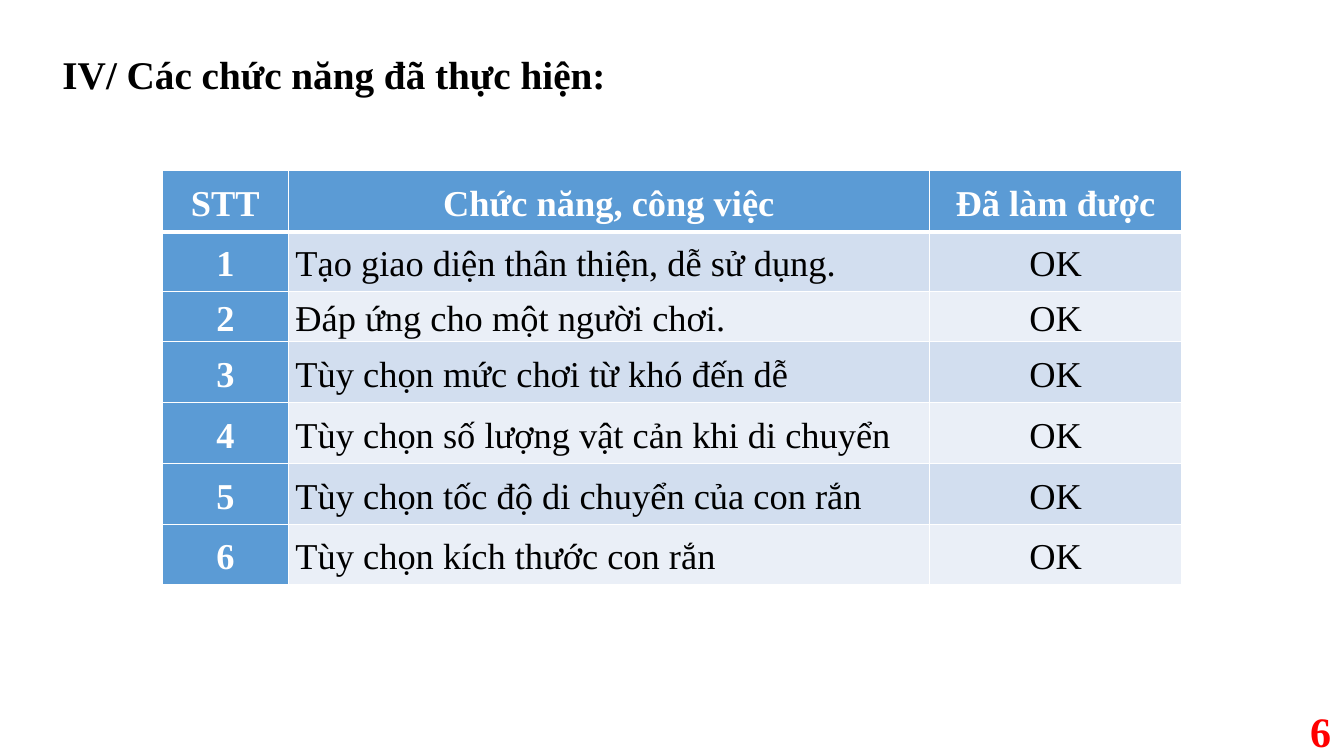
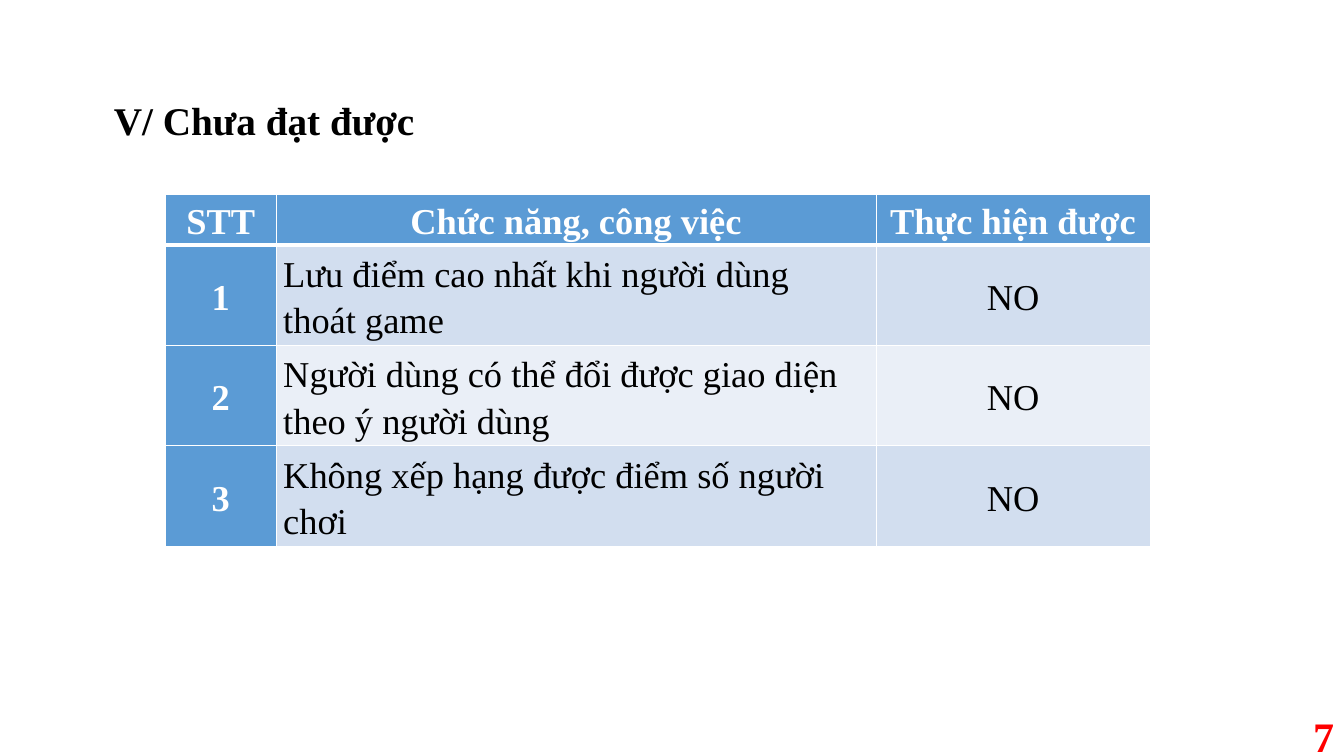
from dataclasses import dataclass

import lxml.etree
import pptx
import pptx.dml.color
import pptx.enum.text
import pptx.oxml.ns
import pptx.presentation
import pptx.slide
import pptx.table
import pptx.text.text
import pptx.util

# Shared style
SLIDE_WIDTH = pptx.util.Inches(13.33)
SLIDE_HEIGHT = pptx.util.Inches(7.5)
TITLE_ONLY = 5
FONT = "Times New Roman"
TITLE_SIZE, CELL_SIZE, NUMBER_SIZE = 28, 26, 30
THIN_BORDER, HEADER_BORDER = 1, 3
BLACK = pptx.dml.color.RGBColor(0x00, 0x00, 0x00)
WHITE = pptx.dml.color.RGBColor(0xFF, 0xFF, 0xFF)
RED = pptx.dml.color.RGBColor(0xFF, 0x00, 0x00)
BLUE = pptx.dml.color.RGBColor(0x5B, 0x9B, 0xD5)
BANDS = (
    pptx.dml.color.RGBColor(0xD2, 0xDE, 0xEF),
    pptx.dml.color.RGBColor(0xEA, 0xEF, 0xF7),
)
ALIGN = pptx.enum.text.PP_ALIGN
ANCHOR = pptx.enum.text.MSO_ANCHOR


# Lengths are percentages of the slide's width or height
@dataclass(frozen=True)
class Area:
    left: float
    top: float
    width: float
    height: float


@dataclass(frozen=True)
class Grid:
    left: float
    top: float
    columns: tuple[float, ...]
    rows: tuple[float, ...]


@dataclass(frozen=True)
class Report:
    title: str
    title_area: Area
    number: int
    number_area: Area
    status_heading: str
    status: str
    tasks: tuple[str, ...]
    grid: Grid


REPORTS = (
    Report(
        title="IV/ Các chức năng đã thực hiện:",
        title_area=Area(3.9, 6, 88.3, 7.6),
        number=6,
        number_area=Area(96.47, 94, 3.3, 5.33),
        status_heading="Đã làm được",
        status="OK",
        tasks=(
            "Tạo giao diện thân thiện, dễ sử dụng.",
            "Đáp ứng cho một người chơi.",
            "Tùy chọn mức chơi từ khó đến dễ",
            "Tùy chọn số lượng vật cản khi di chuyển",
            "Tùy chọn tốc độ di chuyển của con rắn",
            "Tùy chọn kích thước con rắn",
        ),
        grid=Grid(12.08, 22.53, (9.38, 47.71, 18.75), (8.13, 7.87, 6.67) + (8.05,) * 4),
    ),
    Report(
        title="V/ Chưa đạt được",
        title_area=Area(7.73, 12.13, 24.83, 7.6),
        number=7,
        number_area=Area(95.87, 94.67, 4.13, 5.33),
        status_heading="Thực hiện được",
        status="NO",
        tasks=(
            "Lưu điểm cao nhất khi người dùng thoát game",
            "Người dùng có thể đổi được giao diện theo ý người dùng",
            "Không xếp hạng được điểm số người chơi",
        ),
        grid=Grid(12.3, 25.73, (8.25, 44.64, 20.4), (6.6,) + (13.3,) * 3),
    ),
)


def across(percent: float) -> int:
    return round(SLIDE_WIDTH * percent / 100)


def down(percent: float) -> int:
    return round(SLIDE_HEIGHT * percent / 100)


def write(
    frame: pptx.text.text.TextFrame,
    text: str,
    size: int,
    color: pptx.dml.color.RGBColor,
    bold: bool,
    align: ALIGN,
    spacing: float = 1.0,
) -> None:
    para = frame.paragraphs[0]
    para.text = text
    para.alignment = align
    para.line_spacing = spacing
    para.font.name = FONT
    para.font.size = pptx.util.Pt(size)
    para.font.bold = bold
    para.font.color.rgb = color


def add_title(page: pptx.slide.Slide, report: Report) -> None:
    box, area = page.shapes.title, report.title_area
    box.left, box.top = across(area.left), down(area.top)
    box.width, box.height = across(area.width), down(area.height)
    frame = box.text_frame
    frame.word_wrap = True
    frame.auto_size = pptx.enum.text.MSO_AUTO_SIZE.NONE
    frame.vertical_anchor = ANCHOR.TOP
    write(frame, report.title, TITLE_SIZE, BLACK, True, ALIGN.LEFT)


def add_number(page: pptx.slide.Slide, report: Report) -> None:
    area = report.number_area
    box = page.shapes.add_textbox(
        across(area.left), down(area.top), across(area.width), down(area.height)
    )
    frame = box.text_frame
    frame.word_wrap = True
    frame.vertical_anchor = ANCHOR.MIDDLE
    write(frame, str(report.number), NUMBER_SIZE, RED, True, ALIGN.RIGHT)


def add_borders(cell: pptx.table._Cell, row: int) -> None:
    """Draw white borders, with a thick one below the header row."""
    qn = pptx.oxml.ns.qn
    top = HEADER_BORDER if row == 1 else THIN_BORDER
    bottom = HEADER_BORDER if row == 0 else THIN_BORDER
    widths = {"a:lnL": THIN_BORDER, "a:lnR": THIN_BORDER, "a:lnT": top, "a:lnB": bottom}
    properties = cell._tc.get_or_add_tcPr()
    for tag, width in widths.items():
        line = lxml.etree.SubElement(properties, qn(tag), w=str(pptx.util.Pt(width)))
        fill = lxml.etree.SubElement(line, qn("a:solidFill"))
        lxml.etree.SubElement(fill, qn("a:srgbClr"), val=str(WHITE))


def format_cell(cell: pptx.table._Cell, row: int, column: int, text: str) -> None:
    heading = row == 0 or column == 0
    add_borders(cell, row)
    cell.fill.solid()
    cell.fill.fore_color.rgb = BLUE if heading else BANDS[(row - 1) % len(BANDS)]
    cell.vertical_anchor = ANCHOR.MIDDLE
    cell.margin_left = cell.margin_right = pptx.util.Inches(0.07)
    cell.margin_top = cell.margin_bottom = 0
    align = ALIGN.LEFT if column == 1 and not heading else ALIGN.CENTER
    color = WHITE if heading else BLACK
    write(cell.text_frame, text, CELL_SIZE, color, heading, align, spacing=1.15)


def add_task_table(page: pptx.slide.Slide, report: Report) -> None:
    grid = report.grid
    table = page.shapes.add_table(
        len(grid.rows),
        len(grid.columns),
        across(grid.left),
        down(grid.top),
        across(sum(grid.columns)),
        down(sum(grid.rows)),
    ).table
    for column, width in zip(table.columns, grid.columns):
        column.width = across(width)
    for row, height in zip(table.rows, grid.rows):
        row.height = down(height)

    lines = [("STT", "Chức năng, công việc", report.status_heading)]
    lines += [(str(i), task, report.status) for i, task in enumerate(report.tasks, 1)]
    for row, texts in enumerate(lines):
        for column, text in enumerate(texts):
            format_cell(table.cell(row, column), row, column, text)


def add_report(deck: pptx.presentation.Presentation, report: Report) -> None:
    page = deck.slides.add_slide(deck.slide_layouts[TITLE_ONLY])
    add_number(page, report)
    add_title(page, report)
    add_task_table(page, report)


def main() -> None:
    deck = pptx.Presentation()
    deck.slide_width, deck.slide_height = SLIDE_WIDTH, SLIDE_HEIGHT
    for report in REPORTS:
        add_report(deck, report)
    deck.save("out.pptx")


if __name__ == "__main__":
    main()
